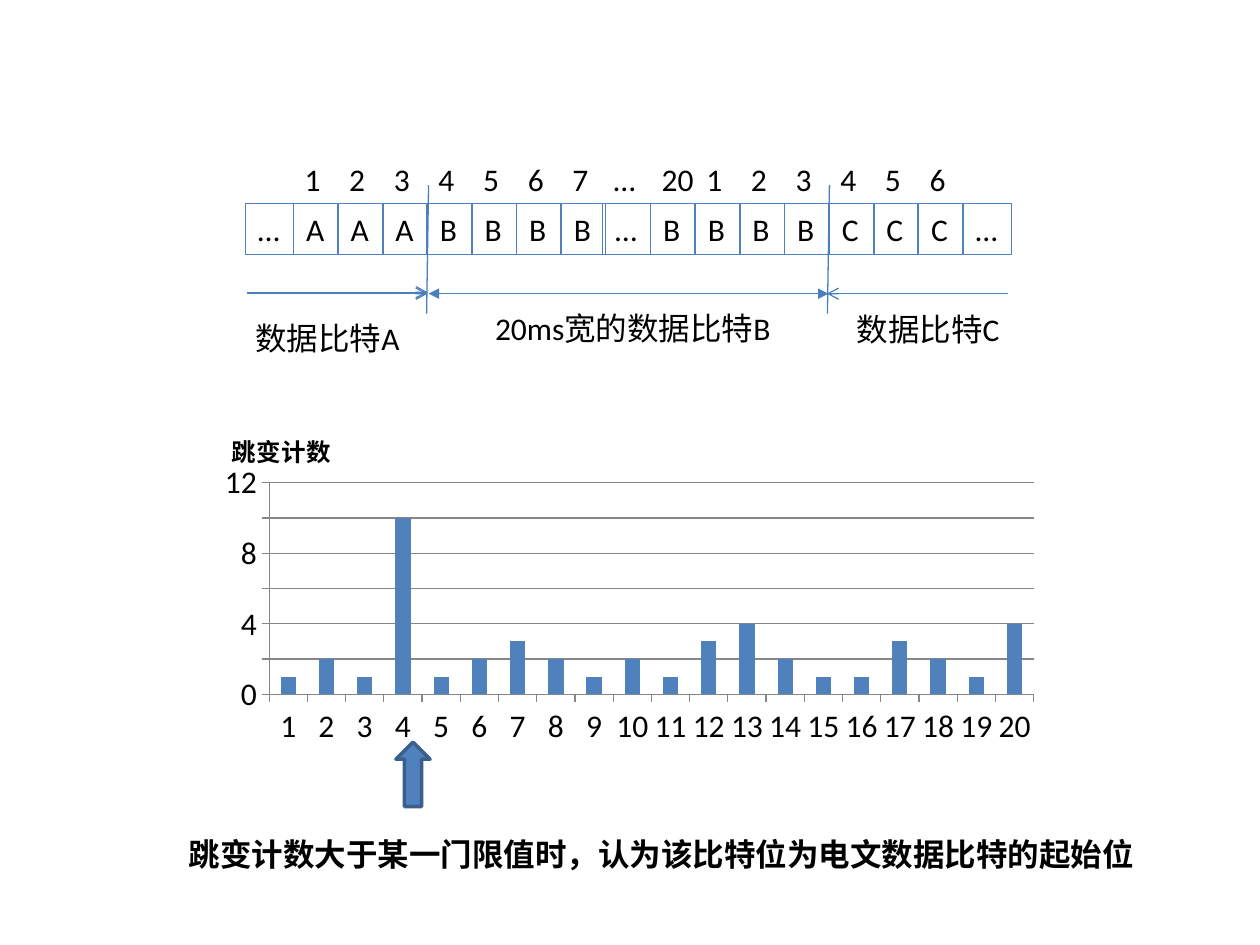
from dataclasses import dataclass
from lxml.etree import SubElement
from pptx import Presentation
from pptx.chart.data import CategoryChartData as Data
from pptx.dml.color import RGBColor as Rgb
from pptx.enum.chart import XL_CHART_TYPE as Kind, XL_TICK_MARK as Tick
from pptx.enum.shapes import MSO_CONNECTOR as Link, MSO_SHAPE as Form
from pptx.enum.text import MSO_ANCHOR as Anchor, PP_ALIGN as Align
from pptx.oxml.ns import qn
from pptx.util import Cm, Pt


@dataclass(frozen=True)
class Theme:
    ink: Rgb = Rgb(0, 0, 0)
    blue: Rgb = Rgb(0x4F, 0x81, 0xBD)
    rule: Rgb = Rgb(0x4B, 0x7E, 0xBC)
    edge: Rgb = Rgb(0x3A, 0x5F, 0x8C)
    grid: Rgb = Rgb(0x86, 0x86, 0x86)
    font: str = "Calibri"
    han: str = "Noto Sans CJK SC"
    body: int = 18
    head: int = 14


class Board:
    def __init__(self, slide, theme):
        self.slide, self.theme = slide, theme

    def style(self, font, size=None, bold=False, name=None):
        font.name = name or self.theme.font
        font.size = Pt(size or self.theme.body)
        font.bold = bold
        font.color.rgb = self.theme.ink

    def label(self, frame, text, **look):
        frame.word_wrap = True
        frame.vertical_anchor = Anchor.TOP
        para = frame.paragraphs[0]
        para.alignment = Align.LEFT
        run = para.add_run()
        run.text = text
        self.style(run.font, **look)

    def text(self, x, y, w, text, **look):
        box = self.slide.shapes.add_textbox(Cm(x), Cm(y), Cm(w), Cm(1.02))
        self.label(box.text_frame, text, **look)

    def shape(self, form, x, y, w, h, edge, width, fill=None):
        item = self.slide.shapes.add_shape(form, Cm(x), Cm(y), Cm(w), Cm(h))
        item.shadow.inherit = False
        if fill is None:
            item.fill.background()
        else:
            item.fill.solid()
            item.fill.fore_color.rgb = fill
        item.line.color.rgb = edge
        item.line.width = Pt(width)
        return item

    def cell(self, x, y, w, text):
        item = self.shape(Form.RECTANGLE, x, y, w, 1.02, self.theme.blue, 0.75)
        self.label(item.text_frame, text)

    def line(self, x1, y1, x2, y2, head=None, tail=None):
        item = self.slide.shapes.add_connector(
            Link.STRAIGHT, Cm(x1), Cm(y1), Cm(x2), Cm(y2))
        item.line.color.rgb = self.theme.rule
        item.line.width = Pt(0.75)
        props = item._element.spPr.find(qn("a:ln"))
        for tag, kind in (("a:headEnd", head), ("a:tailEnd", tail)):
            if kind:
                SubElement(props, qn(tag), type=kind)
        SubElement(item._element.spPr, qn("a:effectLst"))

    def place(self, owner, x, y, w=None, h=None):
        """Fix a chart part at fractions of the chart area."""
        old = owner.find(qn("c:layout"))
        if old is not None:
            owner.remove(old)
        layout = SubElement(owner, qn("c:layout"))
        owner.remove(layout)
        owner.insert(1 if owner.tag == qn("c:title") else 0, layout)
        part = SubElement(layout, qn("c:manualLayout"))
        vals = {"xMode": "edge", "yMode": "edge", "x": x, "y": y, "w": w, "h": h}
        if w:
            vals = {"layoutTarget": "inner", **vals}
        for tag, val in vals.items():
            if val is not None:
                SubElement(part, qn("c:" + tag), val=str(val))

    def chart(self, x, y, w, h, title, vals):
        theme = self.theme
        data = Data()
        data.categories = [str(i) for i in range(1, len(vals) + 1)]
        data.add_series("Series 1", vals)
        chart = self.slide.shapes.add_chart(
            Kind.COLUMN_CLUSTERED, Cm(x), Cm(y), Cm(w), Cm(h), data).chart
        self.style(chart.font)
        chart.has_legend = False
        # Title and plot area
        chart.has_title = True
        run = chart.chart_title.text_frame.paragraphs[0].add_run()
        run.text = title
        self.style(run.font, theme.head, True)
        chart.chart_title.include_in_layout = False
        self.place(chart.chart_title._element, 0.02, 0.09)
        self.place(chart._chartSpace.chart.plotArea, 0.07, 0.25, 0.91, 0.59)
        # Columns
        plot = chart.plots[0]
        plot.gap_width = 150
        plot.vary_by_categories = False
        fill = plot.series[0].format.fill
        fill.solid()
        fill.fore_color.rgb = theme.blue
        # Axes
        axis = chart.value_axis
        axis.minimum_scale, axis.maximum_scale, axis.major_unit = 0, 12, 2
        axis.has_major_gridlines = True
        axis.major_gridlines.format.line.color.rgb = theme.grid
        for item in (axis, chart.category_axis):
            item.major_tick_mark = Tick.OUTSIDE
            item.minor_tick_mark = Tick.NONE
            item.format.line.color.rgb = theme.grid
            self.style(item.tick_labels.font)


deck = Presentation()
deck.slide_width, deck.slide_height = Cm(25.4), Cm(19.05)
theme = Theme()
board = Board(deck.slides.add_slide(deck.slide_layouts[6]), theme)

# Bit cells with their numbers
left, step, wide = 5.92, 0.9, 0.97
bits = "…AAABBBB…BBBBCCC…"
marks = ["", *"1234567…", "20", *"123456", ""]
for i, (bit, mark) in enumerate(zip(bits, marks)):
    dots = bit == "…"
    x = left + (i - 1) * step
    if dots and i < len(bits) - 1:
        x += step - wide
    board.cell(x, 4.11, wide if dots else 0.89, bit)
    if mark:
        size = 1.17 if mark == "20" else wide if dots else 0.84
        board.text(x - 0.03, 3.1, size, mark)

# Bit borders and spans
for x in (8.62, 16.7):
    board.line(x + 0.02, 3.73, x - 0.02, 6.32)
for y in (5.89, 5.92):
    board.line(4.98, y, 8.62, y, tail="arrow")
board.line(8.64, 5.92, 16.7, 5.92, head="triangle", tail="triangle")
board.line(16.67, 5.92, 20.32, 5.92, head="arrow")

# Span names
for x, y, w, name in ((4.9, 6.3, 3.43, "数据比特A"),
                      (9.73, 6.1, 6.12, "20ms宽的数据比特B"),
                      (17.02, 6.12, 3.43, "数据比特C")):
    board.text(x, y, w, name)

# Jump counts
board.chart(4.24, 7.92, 16.94, 7.24, "跳变计数",
            [1, 2, 1, 10, 1, 2, 3, 2, 1, 2, 1, 3, 4, 2, 1, 1, 3, 2, 1, 4])

# Pointer and finding
arrow = board.shape(Form.DOWN_ARROW, 7.98, 14.96, 0.69, 1.3,
                    theme.edge, 2, theme.blue)
arrow.rotation = 180
board.text(3.56, 16.71, 19.76, "跳变计数大于某一门限值时，认为该比特位为电文数据比特的起始位",
           bold=True, name=theme.han)

deck.save("out.pptx")
